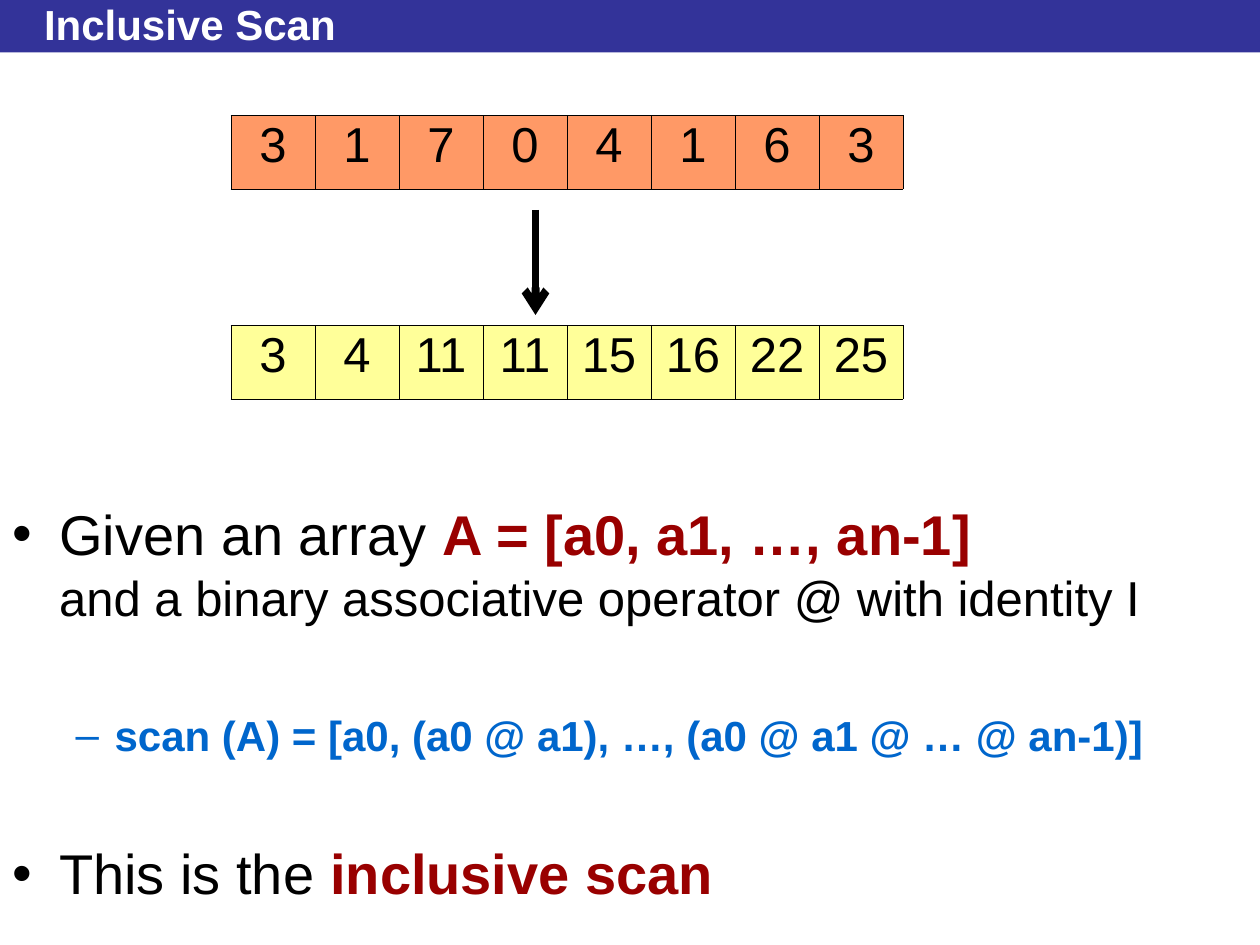
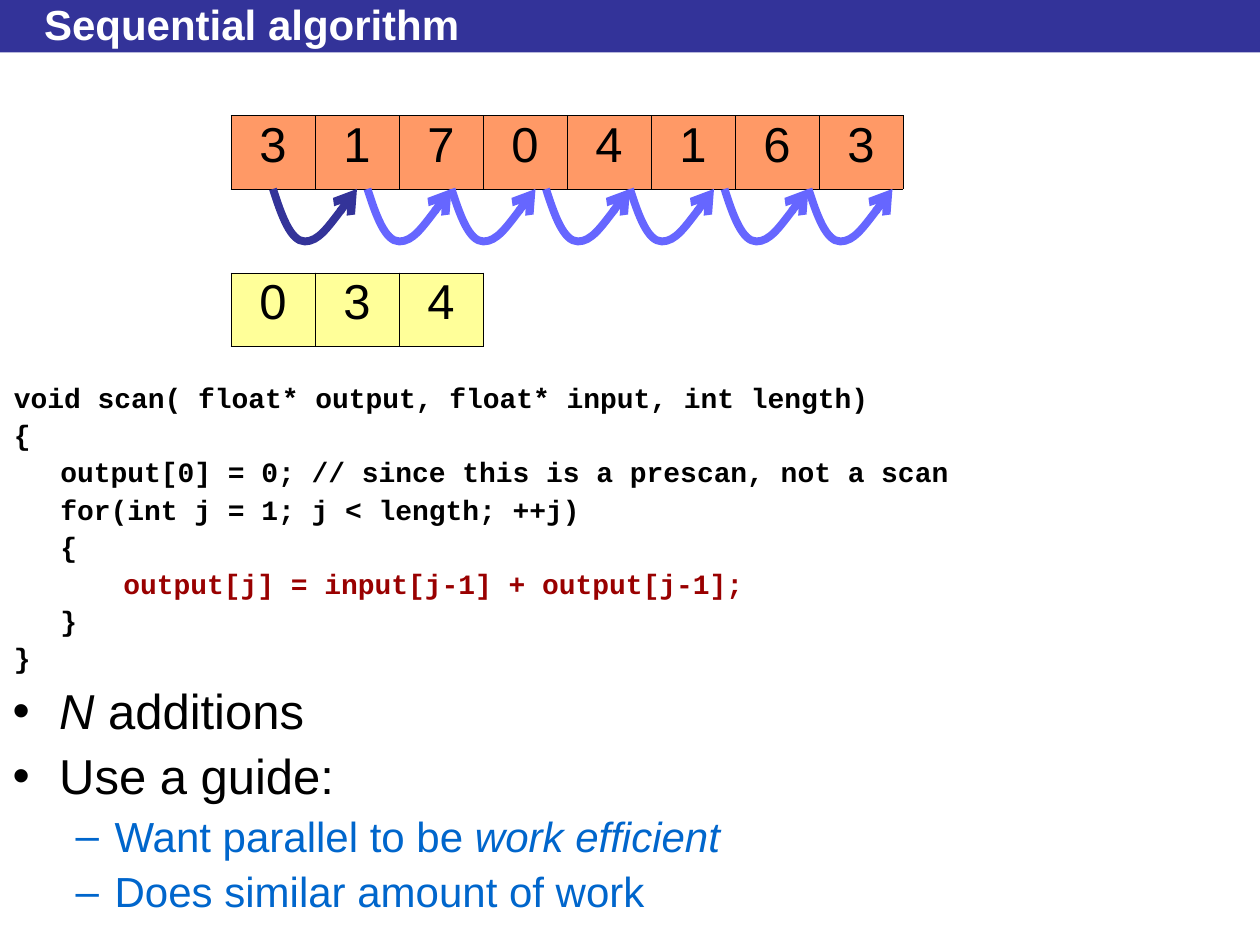
from lxml import etree
from pptx import Presentation
from pptx.dml.color import RGBColor
from pptx.enum.shapes import MSO_CONNECTOR, MSO_SHAPE
from pptx.enum.text import MSO_ANCHOR, MSO_AUTO_SIZE, PP_ALIGN
from pptx.oxml.ns import qn
from pptx.util import Inches, Pt

LEFT, CENTER = PP_ALIGN.LEFT, PP_ALIGN.CENTER
MIDDLE, TOP = MSO_ANCHOR.MIDDLE, MSO_ANCHOR.TOP
NO_FIT = MSO_AUTO_SIZE.NONE
RECT, STRAIGHT = MSO_SHAPE.RECTANGLE, MSO_CONNECTOR.STRAIGHT

COLS, ROWS = 120, 90
WIDE, HIGH = Inches(10), Inches(7.5)
UNIT = WIDE // COLS
CELL_W, CELL_H = 8, 7
ROW_X, ROW_Y = 22, 11

NAVY, VIOLET, BLUE = "333399", "6666FF", "0066CC"
BLACK, WHITE, RED = "000000", "FFFFFF", "990000"
ORANGE, YELLOW = "FF9966", "FFFF99"
SANS, MONO = "Arial", "Courier New"

STYLES = {
    "main": dict(level=0, left=0.37, hang=0.37, bullet="•", font=SANS,
                 size=28, color=BLACK, bold=False, space=7),
    "sub": dict(level=1, left=0.81, hang=0.31, bullet="–", font=SANS,
                size=24, color=BLUE, bold=False, space=6),
    "code": dict(level=0, left=0.38, hang=0.37, bullet=None, font=MONO,
                 size=16, color=BLACK, bold=True, space=4),
}

INPUT = [3, 1, 7, 0, 4, 1, 6, 3]
SCAN = [3, 4, 11, 11, 15, 16, 22, 25]
PARTIAL = [0, 3, 4]

STRONG = dict(color=RED, bold=True)
BIG = dict(size=32)
IDEA = [
    ("main", [("Given an array ", BIG),
              ("A = [a0, a1, …, an-1]", {**BIG, **STRONG}),
              ("\n", {}),
              ("and a binary associative operator @ with identity I", {})], {}),
    ("sub", [("scan (A) = [a0, (a0 @ a1), …, (a0 @ a1 @ … @ an-1)]",
              dict(bold=True))], dict(space=48)),
    ("main", [("This is the ", BIG),
              ("inclusive scan", {**BIG, **STRONG})], dict(space=45)),
]
CODE = [
    "void scan( float* output, float* input, int length)",
    "{",
    "\toutput[0] = 0; // since this is a prescan, not a scan",
    "\tfor(int j = 1; j < length; ++j)",
    "\t{",
    "\t\toutput[j] = input[j-1] + output[j-1];",
    "\t}",
    "}",
]
STEPS = [
    ("code", [(line, dict(color=RED) if "[j]" in line else {})], {})
    for line in CODE
] + [
    ("main", [("N", dict(italic=True)), (" additions", {})], {}),
    ("main", [("Use a guide:", {})], {}),
    ("sub", [("Want parallel to be ", {}),
             ("work efficient", dict(italic=True))], {}),
    ("sub", [("Does similar amount of work", {})], {}),
]


def rgb(code):
    """Turn a hex string into a colour."""
    return RGBColor.from_string(code)


def grid(*nums):
    """Turn grid units into lengths."""
    return [round(num * UNIT) for num in nums]


def node(parent, tag, **attrs):
    """Add one XML element below a parent."""
    return etree.SubElement(parent, qn(tag), attrs)


def place(shape, box):
    """Move a shape to a box given in grid units."""
    shape.left, shape.top, shape.width, shape.height = grid(*box)


def ink(font, face, size, color, bold=False, italic=False):
    """Set every trait of a font."""
    font.name, font.size = face, Pt(size)
    font.bold, font.italic = bold, italic
    font.color.rgb = rgb(color)


def stroke(shape, color):
    """Give a shape a thick line with an arrowhead."""
    shape.line.width = Pt(4.5)
    shape.line.color.rgb = rgb(color)
    node(shape.line._ln, "a:tailEnd", type="arrow")


def band(slide, master):
    """Put the title band on the master, behind the text."""
    bar = slide.shapes.add_shape(RECT, *grid(0, 0, COLS, 5))
    bar.fill.solid()
    bar.fill.fore_color.rgb = rgb(NAVY)
    bar.line.fill.background()
    bar.shadow.inherit = False
    master.shapes._spTree.insert(2, bar._element)


def head(slide, text):
    """Write the slide title in the band."""
    title = slide.shapes.title
    place(title, (3, 0.6, 114, 3.4))
    frame = title.text_frame
    frame.text = text
    frame.auto_size, frame.vertical_anchor = NO_FIT, MIDDLE
    para = frame.paragraphs[0]
    para.alignment = LEFT
    ink(para.runs[0].font, SANS, 24, WHITE, bold=True)


def mark(para, style):
    """Set indent, bullet and tab stops of a paragraph."""
    props = para._p.get_or_add_pPr()
    props.set("marL", str(Inches(style["left"])))
    props.set("indent", str(-Inches(style["hang"])))
    if style["bullet"]:
        node(node(props, "a:buClr"), "a:srgbClr", val=style["color"])
        node(props, "a:buFont", typeface=SANS)
        node(props, "a:buChar", char=style["bullet"])
    else:
        node(props, "a:buNone")
        tabs = node(props, "a:tabLst")
        for inch in range(8):
            node(tabs, "a:tab", pos=str(Inches(inch)), algn="l")


def body(slide, top, items, pitch):
    """Fill the body placeholder from a grid row to the slide's foot."""
    holder = slide.placeholders[1]
    place(holder, (0, top, COLS, ROWS - top))
    frame = holder.text_frame
    frame.auto_size, frame.vertical_anchor = NO_FIT, TOP
    for i, (kind, runs, extra) in enumerate(items):
        style = {**STYLES[kind], **extra}
        para = frame.add_paragraph() if i else frame.paragraphs[0]
        para.level, para.alignment = style["level"], LEFT
        mark(para, style)
        para.line_spacing = pitch
        para.space_before = Pt(style["space"] if i else 0)
        for text, change in runs:
            if text == "\n":
                para.add_line_break()
                continue
            run = para.add_run()
            run.text = text
            look = {key: style[key] for key in ("size", "color", "bold")}
            ink(run.font, style["font"], **{**look, **change})


def cell(slide, box, value, color):
    """Draw one array element as a bordered table cell."""
    frame = slide.shapes.add_table(1, 1, *grid(*box))
    table = frame.table
    table.first_row = table.horz_banding = False
    item = table.cell(0, 0)
    item.text_frame.text = str(value)
    para = item.text_frame.paragraphs[0]
    para.alignment, para.line_spacing = CENTER, 0.93
    ink(para.runs[0].font, SANS, 28, BLACK)
    props = item._tc.get_or_add_tcPr()
    for side in "LRTB":
        edge = node(props, f"a:ln{side}", w=str(Pt(0.5)))
        node(node(edge, "a:solidFill"), "a:srgbClr", val=BLACK)
    item.fill.solid()
    item.fill.fore_color.rgb = rgb(color)


def array(slide, top, values, color):
    """Lay out an array as a row of equal cells."""
    for i, value in enumerate(values):
        cell(slide, (ROW_X + i * CELL_W, top, CELL_W, CELL_H), value, color)


def arrow(slide, x, top, end):
    """Draw a vertical arrow between two grid rows."""
    line = slide.shapes.add_connector(STRAIGHT, *grid(x, top, x, end))
    stroke(line, BLACK)
    node(line._element.spPr, "a:effectLst")


def hop(slide, box, color):
    """Draw a sagging curved arrow from left to right in a box."""
    x, y, wide, deep = box
    shares = [(0, 0), (0.1, 0.5), (0.21, 1), (0.38, 1),
              (0.54, 1), (0.77, 0.5), (1, 0)]
    dots = [grid(x + a * wide, y + b * deep) for a, b in shares]
    pen = slide.shapes.build_freeform(*dots[0], scale=1.0)
    pen.add_line_segments(dots[1:], close=False)
    curve = pen.convert_to_shape()
    path = curve._element.find(".//" + qn("a:path"))
    lines = path.findall(qn("a:lnTo"))
    for i in range(0, len(lines), 3):
        bend = node(path, "a:cubicBezTo")
        for line in lines[i:i + 3]:
            bend.append(line[0])
            path.remove(line)
    curve.fill.background()
    curve.shadow.inherit = False
    stroke(curve, color)


def hops(slide, top):
    """Link neighbouring elements, with starts rounded to whole columns."""
    for i in range(len(INPUT) - 1):
        x = ROW_X + CELL_W / 2 + (17 * i + 1) // 2
        hop(slide, (x, top, CELL_W, 5), VIOLET if i else NAVY)


def idea(slide):
    """Build the slide that defines the inclusive scan."""
    head(slide, "Inclusive Scan")
    body(slide, 47, IDEA, 1.0)
    array(slide, ROW_Y, INPUT, ORANGE)
    array(slide, 31, SCAN, YELLOW)
    arrow(slide, 51, 20, 30)


def steps(slide):
    """Build the slide with the sequential algorithm."""
    head(slide, "Sequential algorithm")
    body(slide, 36, STEPS, 0.9)
    array(slide, ROW_Y, INPUT, ORANGE)
    hops(slide, ROW_Y + CELL_H)
    array(slide, 26, PARTIAL, YELLOW)


def main():
    """Make and save the slides."""
    deck = Presentation()
    deck.slide_width, deck.slide_height = WIDE, HIGH
    first, second = [deck.slides.add_slide(deck.slide_layouts[1])
                     for _ in range(2)]
    band(first, deck.slide_master)
    idea(first)
    steps(second)
    deck.save("out.pptx")


if __name__ == "__main__":
    main()
